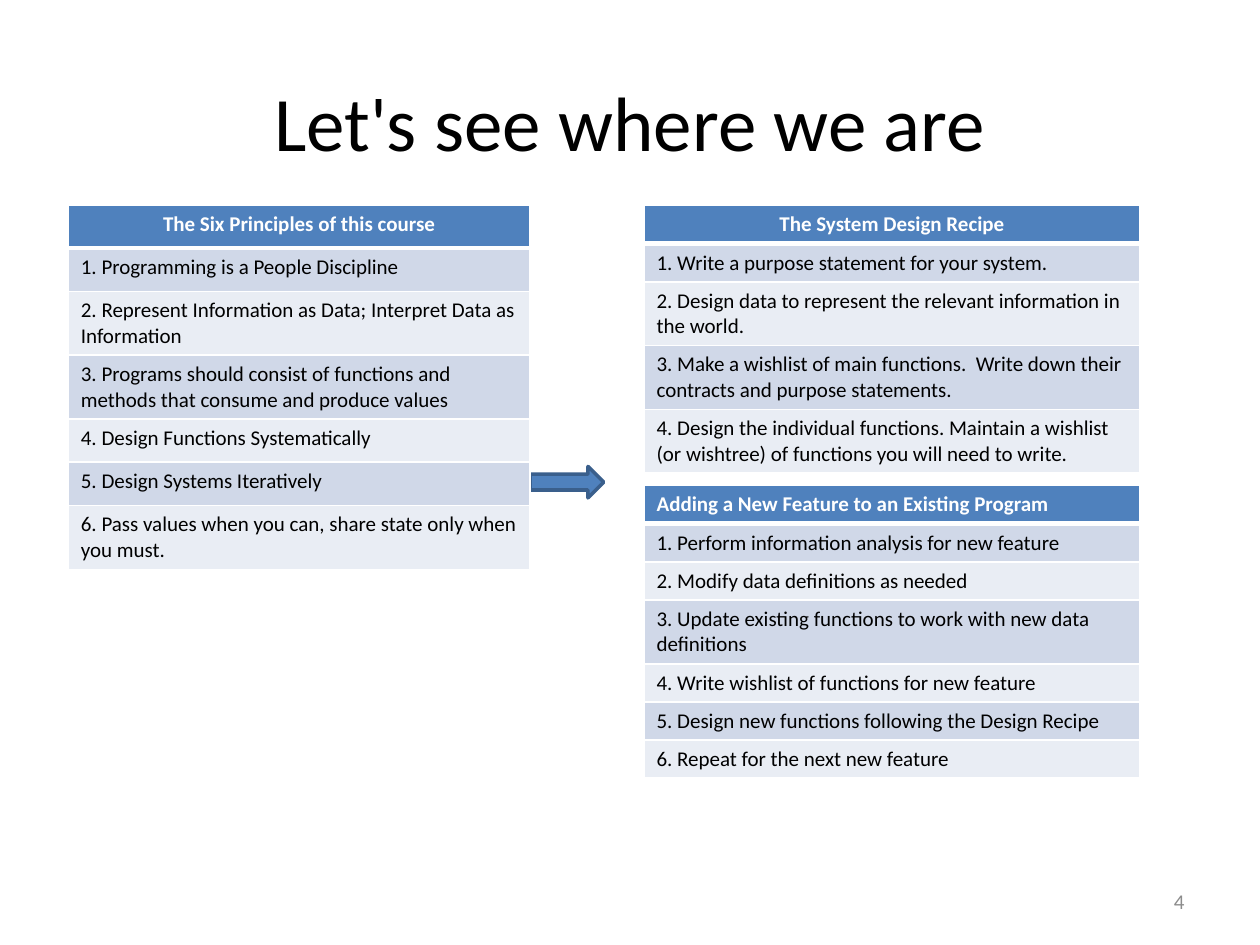
"""Build a slide that links the course principles to two design recipes."""
from dataclasses import dataclass

from lxml.etree import SubElement
from pptx import Presentation
from pptx.dml.color import RGBColor
from pptx.enum.shapes import MSO_SHAPE as Preset
from pptx.enum.text import MSO_ANCHOR as Anchor, PP_ALIGN as Align
from pptx.oxml.ns import qn
from pptx.util import Pt

FONT = "Calibri"
BLUE, WHITE, BLACK = "4F81BD", "FFFFFF", "000000"
BANDS = ("D0D8E8", "E9EDF4")
TWO_LINES = 36.4


@dataclass
class StepList:
    heading: str
    steps: list[str]
    left: float
    top: float
    width: float
    row_height: float
    two_line_steps: tuple[int, ...]
    heading_align: Align = Align.CENTER


STEP_LISTS = [
    StepList("The Six Principles of this course", [
        "Programming is a People Discipline",
        "Represent Information as Data; Interpret Data as Information",
        "Programs should consist of functions and methods that consume and produce values",
        "Design Functions Systematically",
        "Design Systems Iteratively",
        "Pass values when you can, share state only when you must.",
    ], 39, 117, 264, 24.8, (2, 3, 6)),
    StepList("The System Design Recipe", [
        "Write a purpose statement for your system.",
        "Design data to represent the relevant information in the world.",
        "Make a wishlist of main functions.  Write down their contracts and purpose statements.",
        "Design the individual functions. Maintain a wishlist "
        "(or wishtree) of functions you will need to write.",
    ], 368, 117.5, 283.5, 21.8, (2, 3, 4)),
    StepList("Adding a New Feature to an Existing Program", [
        "Perform information analysis for new feature",
        "Modify data definitions as needed",
        "Update existing functions to work with new data definitions",
        "Write wishlist of functions for new feature",
        "Design new functions following the Design Recipe",
        "Repeat for the next new feature",
    ], 368, 277.5, 283.5, 21.8, (3,), Align.LEFT),
]


def rgb(value: str) -> RGBColor:
    return RGBColor.from_string(value)


def write(frame, text: str, size: float, color: str, align: Align, bold: bool = False) -> None:
    paragraph = frame.paragraphs[0]
    paragraph.alignment = align
    run = paragraph.add_run()
    run.text = text
    run.font.name = FONT
    run.font.size = Pt(size)
    run.font.bold = bold
    run.font.color.rgb = rgb(color)


def add_label(slide, text: str, box: tuple, size: float, color: str, align: Align) -> None:
    frame = slide.shapes.add_textbox(*map(Pt, box)).text_frame
    frame.word_wrap = True
    frame.vertical_anchor = Anchor.MIDDLE
    write(frame, text, size, color, align)


def set_borders(cell, top: float, bottom: float) -> None:
    properties = cell._tc.get_or_add_tcPr()
    for side, width in (("L", 1), ("R", 1), ("T", top), ("B", bottom)):
        line = SubElement(properties, qn(f"a:ln{side}"), w=str(Pt(width)))
        SubElement(SubElement(line, qn("a:solidFill")), qn("a:srgbClr"), val=WHITE)


def add_step_list(slide, steps: StepList) -> None:
    texts = [steps.heading] + [f"{n}. {step}" for n, step in enumerate(steps.steps, 1)]
    heights = [TWO_LINES if n in steps.two_line_steps else steps.row_height
               for n in range(len(texts))]
    table = slide.shapes.add_table(len(texts), 1, Pt(steps.left), Pt(steps.top),
                                   Pt(steps.width), Pt(sum(heights))).table
    for n, (text, height) in enumerate(zip(texts, heights)):
        heading = n == 0
        table.rows[n].height = Pt(height)
        cell = table.cell(n, 0)
        set_borders(cell, 3 if n == 1 else 1, 3 if heading else 1)
        cell.fill.solid()
        cell.fill.fore_color.rgb = rgb(BLUE if heading else BANDS[(n - 1) % 2])
        write(cell.text_frame, text, 12, WHITE if heading else BLACK,
              steps.heading_align if heading else Align.LEFT, heading)


def add_arrow(slide, box: tuple) -> None:
    arrow = slide.shapes.add_shape(Preset.RIGHT_ARROW, *map(Pt, box))
    arrow.shadow.inherit = False
    arrow.fill.solid()
    arrow.fill.fore_color.rgb = rgb(BLUE)
    arrow.line.color.rgb = rgb("3A5F8C")
    arrow.line.width = Pt(2)


def main() -> None:
    deck = Presentation()
    deck.slide_width, deck.slide_height = Pt(720), Pt(540)
    slide = deck.slides.add_slide(deck.slide_layouts[6])
    add_label(slide, "Let's see where we are", (36, 24, 648, 90), 44, BLACK, Align.CENTER)
    add_arrow(slide, (303, 266.5, 42, 18))
    add_label(slide, "4", (516, 500.5, 168, 28.8), 12, "8C8C8C", Align.RIGHT)
    for steps in STEP_LISTS:
        add_step_list(slide, steps)
    deck.save("out.pptx")


if __name__ == "__main__":
    main()
